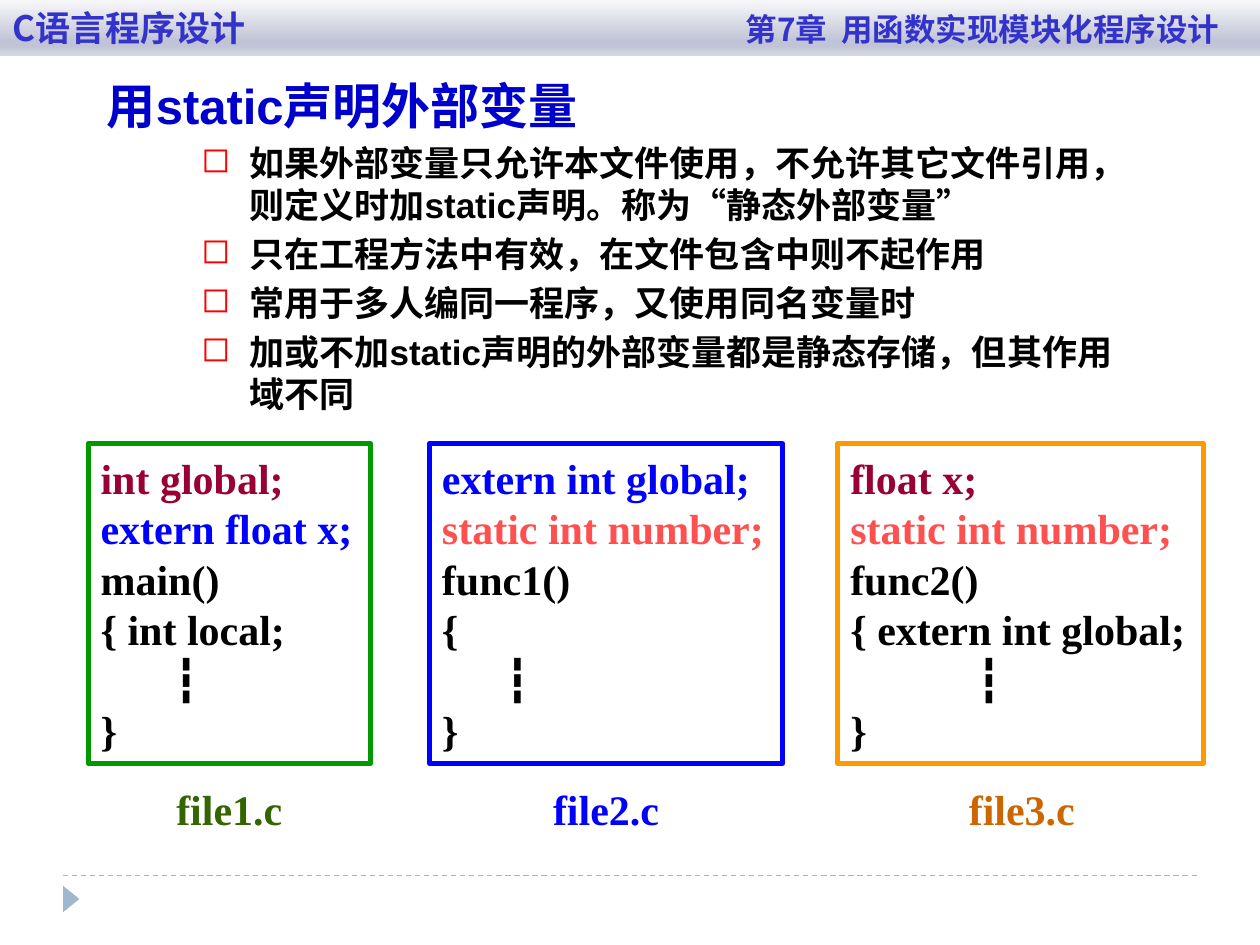
from pptx import Presentation
from pptx.dml.color import RGBColor
from pptx.enum.dml import MSO_LINE
from pptx.enum.shapes import MSO_CONNECTOR, MSO_SHAPE
from pptx.enum.text import MSO_ANCHOR, PP_ALIGN
from pptx.oxml import parse_xml
from pptx.oxml.ns import qn
from pptx.util import Inches, Pt
from lxml.etree import SubElement

NS = 'xmlns:a="http://schemas.openxmlformats.org/drawingml/2006/main"'


def color(code):
    return RGBColor.from_string(code)


class Deck:
    sans = "Arial"
    serif = "Times New Roman"
    asian = "Noto Sans CJK JP"

    def __init__(self):
        self.file = Presentation()
        self.file.slide_width = Inches(10)
        self.file.slide_height = Inches(7.5)
        self.slide = self.file.slides.add_slide(self.file.slide_layouts[6])

    def style(self, run, size, code, font):
        run.font.size = Pt(size)
        run.font.bold = True
        run.font.name = font
        run.font.color.rgb = color(code)
        SubElement(run._r.get_or_add_rPr(), qn("a:ea")).set("typeface", self.asian)

    def shape(self, kind, x, y, w, h, fill, line=None):
        item = self.slide.shapes.add_shape(
            kind, Inches(x), Inches(y), Inches(w), Inches(h))
        item.shadow.inherit = False
        item.fill.solid()
        item.fill.fore_color.rgb = color(fill)
        if line:
            item.line.color.rgb = color(line)
            item.line.width = Pt(3)
        else:
            item.line.fill.background()
        return item

    def text(self, x, y, w, h, wrap=True):
        box = self.slide.shapes.add_textbox(
            Inches(x), Inches(y), Inches(w), Inches(h))
        box.text_frame.word_wrap = wrap
        return box.text_frame

    def lines(self, frame, rows, size, font):
        frame.text = "\n".join(row for row, _ in rows)
        for para, (_, code) in zip(frame.paragraphs, rows):
            para.alignment = PP_ALIGN.LEFT
            para.line_spacing = Pt(size * 1.2)
            for run in para.runs:
                self.style(run, size, code, font)

    def indent(self, para, left, first=0):
        props = para._p.get_or_add_pPr()
        props.set("marL", str(Inches(left)))
        props.set("indent", str(Inches(first)))
        return props

    def bullet(self, para):
        props = self.indent(para, 1.88, -0.38)
        para.space_before = Pt(4)
        props.append(parse_xml(f'<a:buClr {NS}><a:srgbClr val="FF0000"/></a:buClr>'))
        props.append(parse_xml(f'<a:buChar {NS} char="◻"/>'))

    def code(self, x, w, edge, rows, dots):
        box = self.shape(MSO_SHAPE.RECTANGLE, x, 3.52, w, 2.54, "FFFFFF", edge)
        frame = box.text_frame
        frame.word_wrap = False
        frame.vertical_anchor = MSO_ANCHOR.MIDDLE
        self.lines(frame, rows + [("┇", "000000"), ("}", "000000")], 24, self.serif)
        self.indent(frame.paragraphs[-2], dots)

    def label(self, x, name, code):
        frame = self.text(x, 6.17, 1.04, 0.5, False)
        frame.vertical_anchor = MSO_ANCHOR.MIDDLE
        self.lines(frame, [(name, code)], 24, self.serif)
        frame.paragraphs[0].alignment = PP_ALIGN.CENTER

    def rule(self, x, y, end, code):
        line = self.slide.shapes.add_connector(
            MSO_CONNECTOR.STRAIGHT, Inches(x), Inches(y), Inches(end), Inches(y))
        line.line.color.rgb = color(code)
        line.line.width = Pt(0.75)
        line.line.dash_style = MSO_LINE.DASH
        SubElement(line._element.spPr, qn("a:effectLst"))

    def header(self, left, right, stops):
        bar = self.shape(MSO_SHAPE.RECTANGLE, 0, 0, 10, 0.44, "C0C4D6")
        marks = "".join(f'<a:gs pos="{pos * 1000}"><a:srgbClr val="{code}"/></a:gs>'
                        for pos, code in stops)
        props = bar._element.spPr
        props.replace(props.find(qn("a:solidFill")), parse_xml(
            f'<a:gradFill {NS} rotWithShape="1"><a:gsLst>{marks}</a:gsLst>'
            '<a:lin ang="5400000" scaled="0"/></a:gradFill>'))
        frame = bar.text_frame
        frame.vertical_anchor = MSO_ANCHOR.MIDDLE
        para = frame.paragraphs[0]
        para.alignment = PP_ALIGN.LEFT
        para._p.get_or_add_pPr().append(parse_xml(
            f'<a:tabLst {NS}><a:tab pos="{Inches(9.58)}" algn="r"/></a:tabLst>'))
        for words, size in ((left + "\t", 20), (right, 18)):
            run = para.add_run()
            run.text = words
            self.style(run, size, "3333CC", self.asian)


deck = Deck()
deck.rule(0.5, 6.95, 9.5, "9FB8CD")
mark = deck.shape(MSO_SHAPE.ISOSCELES_TRIANGLE, 0.46, 7.07, 0.21, 0.13, "9FB8CD")
mark.rotation = 90

points = [
    "如果外部变量只允许本文件使用，不允许其它文件引用，则定义时加static声明。称为“静态外部变量”",
    "只在工程方法中有效，在文件包含中则不起作用",
    "常用于多人编同一程序，又使用同名变量时",
    "加或不加static声明的外部变量都是静态存储，但其作用域不同",
]
body = deck.text(0, 0.55, 9.09, 2.85)
deck.lines(body, [("用static声明外部变量", "0000CC")]
           + [(point, "000000") for point in points], 20, deck.sans)
title, *items = body.paragraphs
title.line_spacing = Pt(33.6)
title.runs[0].font.size = Pt(28)
deck.indent(title, 0.75)
for item in items:
    deck.bullet(item)

BLACK, BLUE, WINE, ROSE = "000000", "0000FF", "990033", "FF5050"
files = [
    (0.7, 2.24, "009900", 0.58, 1.3, "336600",
     [("int global;", WINE), ("extern float x;", BLUE),
      ("main()", BLACK), ("{ int local;", BLACK)]),
    (3.41, 2.8, BLUE, 0.5, 4.29, BLUE,
     [("extern int global;", BLUE), ("static int number;", ROSE),
      ("func1()", BLACK), ("{", BLACK)]),
    (6.65, 2.9, "FF9900", 1, 7.59, "CC6600",
     [("float x;", WINE), ("static int number;", ROSE),
      ("func2()", BLACK), ("{ extern int global;", BLACK)]),
]
for num, (x, w, edge, dots, spot, ink, rows) in enumerate(files, 1):
    deck.code(x, w, edge, rows, dots)
    deck.label(spot, f"file{num}.c", ink)

deck.header("C语言程序设计", "第7章  用函数实现模块化程序设计",
            [(0, "F8F8FA"), (74, "C0C4D6"), (83, "C0C4D6"), (100, "D5D8E3")])
deck.file.save("out.pptx")
